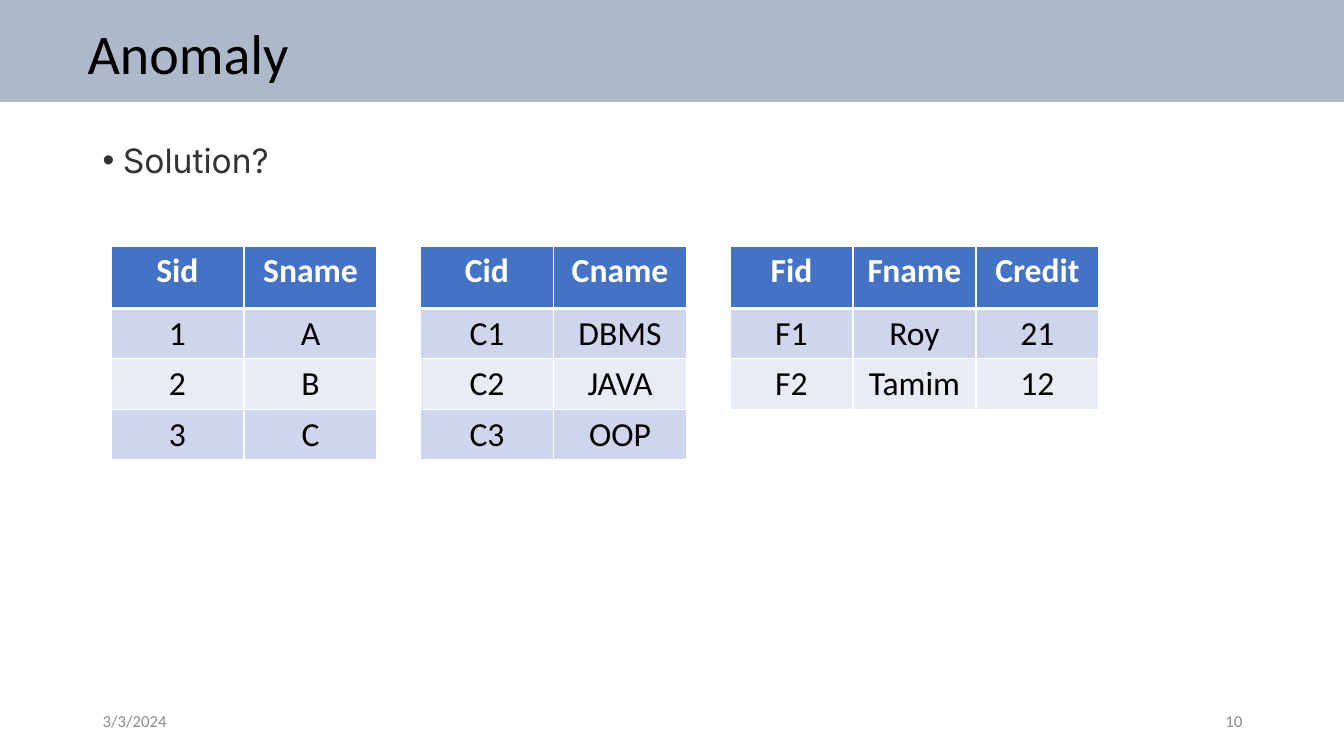
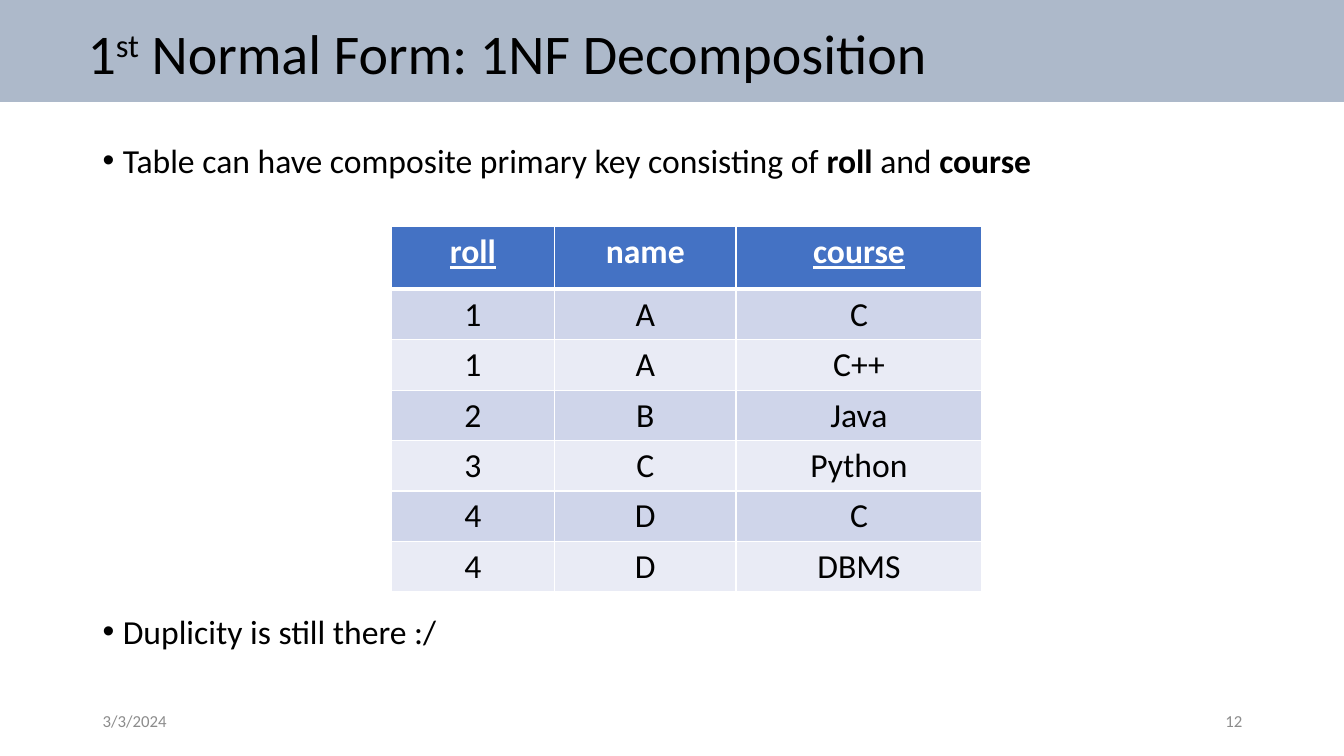
from lxml.etree import SubElement
from pptx import Presentation
from pptx.dml.color import RGBColor
from pptx.enum.shapes import MSO_SHAPE
from pptx.enum.text import MSO_ANCHOR, PP_ALIGN
from pptx.oxml.ns import qn
from pptx.util import Inches, Pt

# Shared style
WHITE = RGBColor(0xFF, 0xFF, 0xFF)
BLACK = RGBColor(0x00, 0x00, 0x00)
CHARCOAL = RGBColor(0x33, 0x33, 0x33)
GRAY = RGBColor(0x8C, 0x8C, 0x8C)
BAND = RGBColor(0xAD, 0xB9, 0xCA)
HEADER_FILL = RGBColor(0x44, 0x72, 0xC4)
ROW_FILLS = (RGBColor(0xCF, 0xD5, 0xEA), RGBColor(0xE9, 0xEB, 0xF5))
FONT = "Calibri"
SLIDE_WIDTH, SLIDE_HEIGHT = 13.33, 7.5
MARGIN = 0.92
HEADER_HEIGHT, ROW_HEIGHT = 0.62, 0.5
BULLET_INDENT = 0.2
DATE = "3/3/2024"


def write_text(frame, spans, size=24, color=BLACK, font=FONT, align=PP_ALIGN.JUSTIFY):
    """Fill the first paragraph; spans is a string or a list of (text, styles)."""
    if isinstance(spans, str):
        spans = [(spans, "")]
    para = frame.paragraphs[0]
    para.alignment = align
    for text, styles in spans:
        span = para.add_run()
        span.text = text
        span.font.name = font
        span.font.size = Pt(size)
        span.font.color.rgb = color
        span.font.bold = "bold" in styles
        span.font.underline = "underline" in styles
        if "superscript" in styles:
            span.font._element.set("baseline", "30000")
    return para


def add_text(page, spans, left, top, width, height, anchor=MSO_ANCHOR.TOP, **style):
    box = page.shapes.add_textbox(Inches(left), Inches(top), Inches(width), Inches(height))
    box.text_frame.word_wrap = True
    box.text_frame.vertical_anchor = anchor
    return write_text(box.text_frame, spans, **style)


def add_bullet(page, spans, top, **style):
    para = add_text(page, spans, MARGIN, top, 11.77, 0.5, **style)
    properties = para._p.get_or_add_pPr()
    properties.set("marL", str(Inches(BULLET_INDENT)))
    properties.set("indent", str(-Inches(BULLET_INDENT)))
    SubElement(properties, qn("a:buFont"), typeface="Arial")
    SubElement(properties, qn("a:buChar"), char="•")


def set_borders(cell, top=1, bottom=1):
    properties = cell._tc.get_or_add_tcPr()
    for side, points in (("L", 1), ("R", 1), ("T", top), ("B", bottom)):
        line = SubElement(properties, qn(f"a:ln{side}"), w=str(Pt(points)))
        fill = SubElement(line, qn("a:solidFill"))
        SubElement(fill, qn("a:srgbClr"), val=str(WHITE))


def add_grid(page, left, top, widths, rows, keys=()):
    """Draw a banded table; header names listed in keys are underlined."""
    height = HEADER_HEIGHT + ROW_HEIGHT * (len(rows) - 1)
    table = page.shapes.add_table(len(rows), len(widths), Inches(left), Inches(top),
                                  Inches(sum(widths)), Inches(height)).table
    for column, width in zip(table.columns, widths):
        column.width = Inches(width)
    for index, values in enumerate(rows):
        header = index == 0
        table.rows[index].height = Inches(HEADER_HEIGHT if header else ROW_HEIGHT)
        for cell, value in zip(table.rows[index].cells, values):
            set_borders(cell, top=3 if index == 1 else 1, bottom=3 if header else 1)
            cell.fill.solid()
            cell.fill.fore_color.rgb = HEADER_FILL if header else ROW_FILLS[(index - 1) % 2]
            styles = "bold" if header else ""
            if header and value in keys:
                styles += " underline"
            write_text(cell.text_frame, [(value, styles)], align=PP_ALIGN.CENTER,
                       color=WHITE if header else BLACK)


def add_page(deck, title, number):
    """Add a blank slide with the footer, title band and title."""
    page = deck.slides.add_slide(deck.slide_layouts[6])
    footer = {"anchor": MSO_ANCHOR.MIDDLE, "size": 12, "color": GRAY}
    add_text(page, DATE, MARGIN, 6.95, 3, 0.4, align=PP_ALIGN.LEFT, **footer)
    add_text(page, str(number), 9.42, 6.95, 3, 0.4, align=PP_ALIGN.RIGHT, **footer)
    band = page.shapes.add_shape(MSO_SHAPE.RECTANGLE, 0, 0, Inches(SLIDE_WIDTH), Inches(1.01))
    band.shadow.inherit = False
    band.fill.solid()
    band.fill.fore_color.rgb = BAND
    band.line.fill.background()
    add_text(page, title, 0.77, 0.13, 12.47, 0.77, size=40)
    return page


def build_anomaly(deck):
    page = add_page(deck, "Anomaly", 10)
    add_bullet(page, "Solution?", 1.34, font="Inter", color=CHARCOAL)
    tables = (
        (1.32, [("Sid", "Sname"), ("1", "A"), ("2", "B"), ("3", "C")]),
        (1.32, [("Cid", "Cname"), ("C1", "DBMS"), ("C2", "JAVA"), ("C3", "OOP")]),
        (1.22, [("Fid", "Fname", "Credit"), ("F1", "Roy", "21"), ("F2", "Tamim", "12")]),
    )
    left, gap = 1.1, 0.43
    for column_width, rows in tables:
        widths = [column_width] * len(rows[0])
        add_grid(page, left, 2.44, widths, rows)
        left += sum(widths) + gap


def build_first_normal_form(deck):
    title = [("1", ""), ("st", "superscript"), (" Normal Form: 1NF Decomposition", "")]
    page = add_page(deck, title, 12)
    add_bullet(page, [("Table can have composite primary key consisting of ", ""),
                      ("roll", "bold"), (" and ", ""), ("course", "bold")], 1.34)
    rows = [("roll", "name", "course"), ("1", "A", "C"), ("1", "A", "C++"),
            ("2", "B", "Java"), ("3", "C", "Python"), ("4", "D", "C"), ("4", "D", "DBMS")]
    add_grid(page, 3.88, 2.25, (1.62, 1.8, 2.44), rows, keys=("roll", "course"))
    add_bullet(page, "Duplicity is still there :/", 6.01)


def main():
    deck = Presentation()
    deck.slide_width = Inches(SLIDE_WIDTH)
    deck.slide_height = Inches(SLIDE_HEIGHT)
    build_anomaly(deck)
    build_first_normal_form(deck)
    deck.save("out.pptx")


if __name__ == "__main__":
    main()
